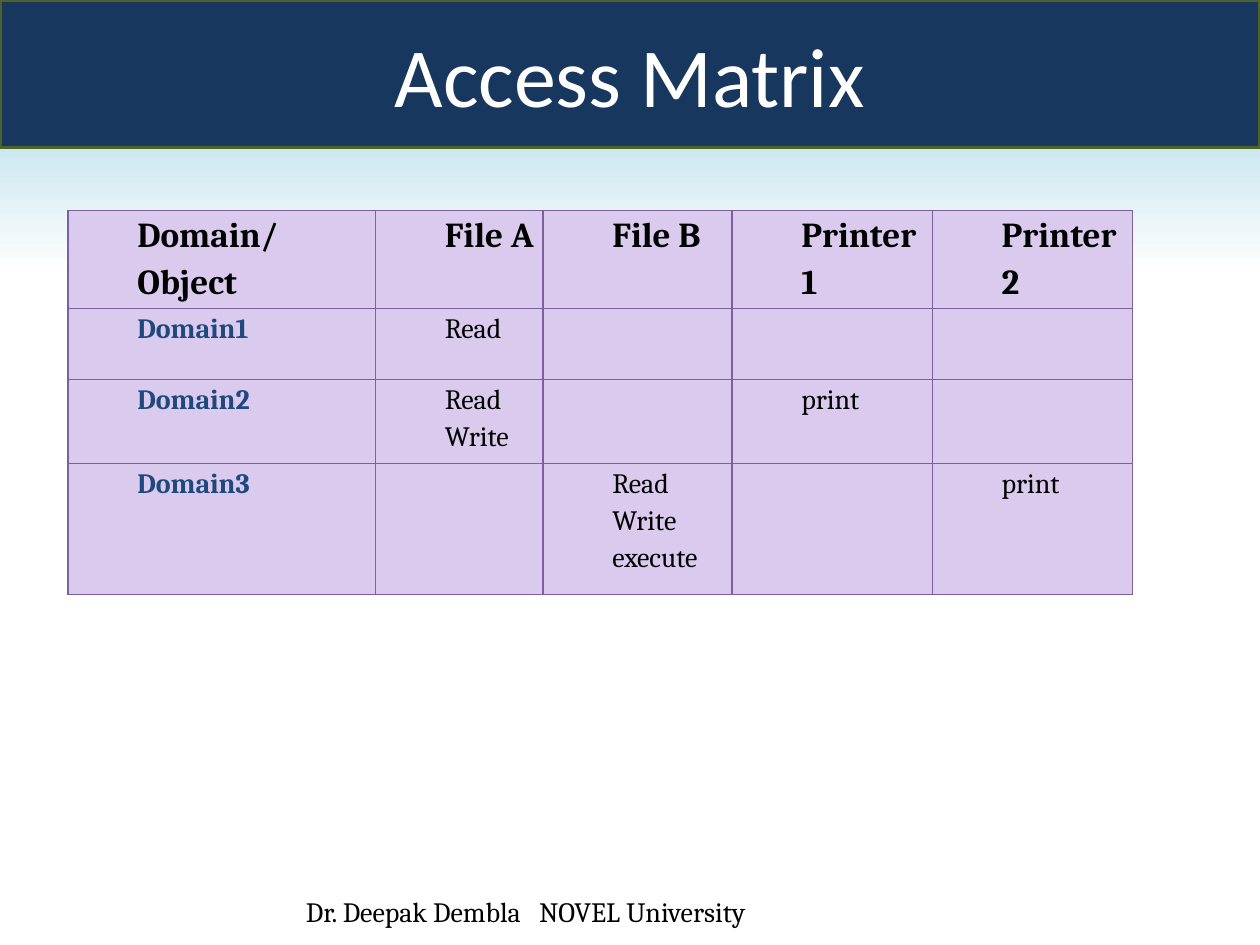
from lxml import etree
from pptx import Presentation
from pptx.dml.color import RGBColor
from pptx.enum import shapes, text
from pptx.oxml.ns import qn
from pptx.util import Inches, Pt

NAVY = RGBColor(0x17, 0x37, 0x5E)
OLIVE = RGBColor(0x4F, 0x62, 0x28)
SKY = RGBColor(0x93, 0xCD, 0xDD)
WHITE = RGBColor(0xFF, 0xFF, 0xFF)
BLACK = RGBColor(0, 0, 0)
BLUE = RGBColor(0x1F, 0x49, 0x7D)
LILAC = RGBColor(0xDA, 0xCA, 0xED)
PURPLE = RGBColor(0x7D, 0x60, 0xA0)

COLS = [2.44, 1.33, 1.5, 1.59, 1.59]
ROWS = [0.78, 0.56, 0.67, 1.04]
MATRIX = [
    ["Domain/Object", "File A", "File B", "Printer1", "Printer2"],
    ["Domain1", "Read", "", "", ""],
    ["Domain2", "Read\nWrite", "", "print", ""],
    ["Domain3", "", "Read\nWrite\nexecute", "", "print"],
]


def set_font(p, name, size, color, bold=False):
    p.font.name, p.font.size, p.font.bold = name, Pt(size), bold
    p.font.color.rgb = color


def add_background(s):
    fill = s.background.fill
    fill.gradient()
    fill.gradient_angle = 270
    for stop, position, color in zip(fill.gradient_stops, (0, 0.29), (SKY, WHITE)):
        stop.position, stop.color.rgb = position, color


def add_title(s, x, y, w, h, title):
    sp = s.shapes.add_shape(shapes.MSO_SHAPE.ROUNDED_RECTANGLE,
                            Inches(x), Inches(y), Inches(w), Inches(h))
    sp.adjustments[0] = 0
    sp.shadow.inherit = False
    sp.fill.solid()
    sp.fill.fore_color.rgb = NAVY
    sp.line.color.rgb, sp.line.width = OLIVE, Pt(2)
    tf = sp.text_frame
    tf.vertical_anchor = text.MSO_ANCHOR.MIDDLE
    p = tf.paragraphs[0]
    p.text, p.alignment = title, text.PP_ALIGN.CENTER
    set_font(p, "Calibri", 48, WHITE)


def add_borders(cell):
    tcPr = cell._tc.get_or_add_tcPr()
    for side in ("a:lnL", "a:lnR", "a:lnT", "a:lnB"):
        ln = etree.SubElement(tcPr, qn(side), w=str(Pt(0.75)))
        fill = etree.SubElement(ln, qn("a:solidFill"))
        etree.SubElement(fill, qn("a:srgbClr"), val=str(PURPLE))


def fill_cell(cell, words, row, col):
    add_borders(cell)
    cell.fill.solid()
    cell.fill.fore_color.rgb = LILAC
    cell.margin_left = cell.margin_right = Inches(0.05)
    cell.margin_top = cell.margin_bottom = 0
    cell.text = words
    for p in cell.text_frame.paragraphs:
        p.line_spacing = 1.15
        p._p.get_or_add_pPr().set("marL", str(Inches(0.5)))
        if row == 0:
            p.alignment = text.PP_ALIGN.JUSTIFY if col == 0 else text.PP_ALIGN.LEFT
            set_font(p, "Cambria", 20, BLACK, True)
        else:
            p.alignment = text.PP_ALIGN.JUSTIFY
            set_font(p, "Cambria", 16, BLUE if col == 0 else BLACK, col == 0)


def add_matrix(s, x, y):
    table = s.shapes.add_table(len(ROWS), len(COLS), Inches(x), Inches(y),
                               Inches(sum(COLS)), Inches(sum(ROWS))).table
    table.first_row = table.horz_banding = False
    for column, width in zip(table.columns, COLS):
        column.width = Inches(width)
    for row, height in zip(table.rows, ROWS):
        row.height = Inches(height)
    for i, line in enumerate(MATRIX):
        for j, words in enumerate(line):
            fill_cell(table.cell(i, j), words, i, j)


def add_footer(s, x, y, w, h, author, school):
    tf = s.shapes.add_textbox(Inches(x), Inches(y), Inches(w), Inches(h)).text_frame
    tf.word_wrap = True
    p = tf.paragraphs[0]
    p.text = f"{author}\t{school}"
    set_font(p, "Cambria", 16, BLACK)
    # Tab stop between author and school
    tabs = etree.Element(qn("a:tabLst"))
    etree.SubElement(tabs, qn("a:tab"), pos=str(Inches(1.85)), algn="l")
    p._p.get_or_add_pPr().insert(0, tabs)


prs = Presentation()
prs.slide_width, prs.slide_height = Inches(10), Inches(7.5)
s = prs.slides.add_slide(prs.slide_layouts[6])
add_background(s)
add_footer(s, 2.33, 7.05, 5.92, 0.64, "Dr. Deepak Dembla", "NOVEL University")
add_title(s, 0, 0, 10, 1.17, "Access Matrix")
add_matrix(s, 0.54, 1.67)
prs.save("out.pptx")
